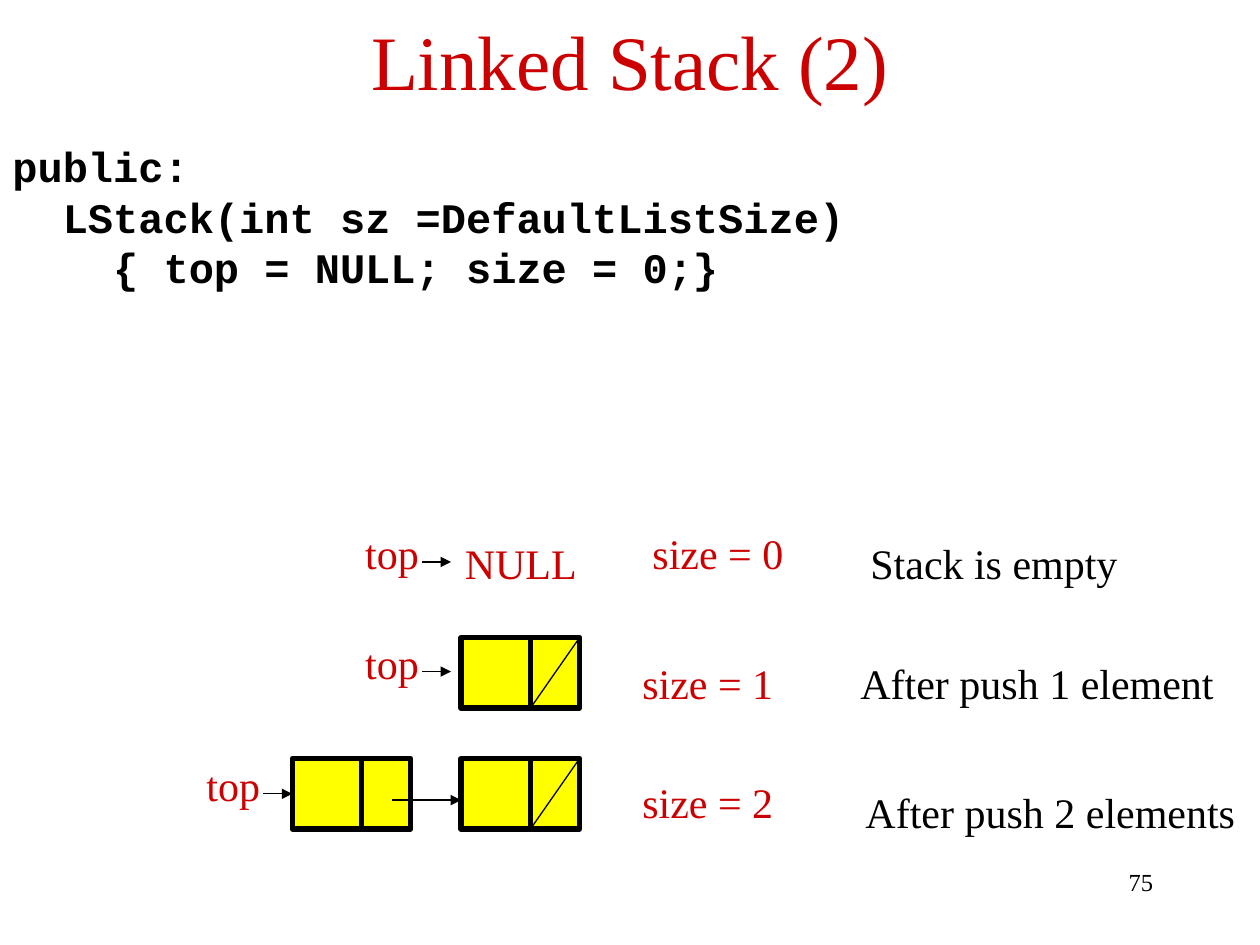
from pptx import Presentation, util as u
from pptx.dml.color import RGBColor
from pptx.enum import shapes, text
from pptx.oxml.ns import qn
from lxml import etree

SERIF, MONO = "Times New Roman", "Courier New"
RED, BLACK, YELLOW = "CC0000", "000000", "FFFF00"

TITLE = "Linked Stack (2)"
PAGE_NUMBER = "75"
# (columns of indent, code)
CODE = [
    (0, "public:"),
    (2, "LStack(int sz =DefaultListSize)"),
    (4, "{ top = NULL; size = 0;}"),
]
COLUMN = 0.2  # width of one 24 pt code character
# (text, left, top, width, colour)
LABELS = [
    ("NULL", 3.59, 4.22, 1.09, RED),
    ("size = 0", 5.08, 4.14, 1.24, RED),
    ("size = 1", 5, 5.17, 1.24, RED),
    ("size = 2", 5, 6.11, 1.24, RED),
    ("Stack is empty", 6.81, 4.22, 2.16, BLACK),
    ("After push 1 element", 6.73, 5.17, 3.27, BLACK),
    ("After push 2 elements", 6.77, 6.19, 3.35, BLACK),
]
# (left, top, is the last node of its list)
NODES = [(3.66, 5.06, True), (2.32, 6.02, False), (3.66, 6.02, True)]
NODE_WIDTH, NODE_HEIGHT, LINK_OFFSET = 0.94, 0.56, 0.55
# (left, top, index of the node the pointer touches)
TOP_POINTERS = [(2.8, 4.14, None), (2.8, 5.01, None), (1.54, 5.98, 1)]
NEXT_POINTER = (3.11, 6.35, 3.66, 6.35)

prs = Presentation()
prs.slide_width, prs.slide_height = u.Inches(10), u.Inches(7.5)
slide = prs.slides.add_slide(prs.slide_layouts[5])


def inches(*lengths):
    return [u.Inches(length) for length in lengths]


def rgb(colour):
    return RGBColor.from_string(colour)


def style(paragraph, size, colour, name=SERIF, bold=False):
    font = paragraph.font
    font.size, font.name, font.bold = u.Pt(size), name, bold
    font.color.rgb = rgb(colour)


def add_text(content, left, top, width, colour, size=24):
    frame = slide.shapes.add_textbox(*inches(left, top, width, 0.5)).text_frame
    frame.word_wrap = True
    frame.text = content
    style(frame.paragraphs[0], size, colour)
    return frame


def add_line(x1, y1, x2, y2, weight=0.75, arrow=False):
    line = slide.shapes.add_connector(
        shapes.MSO_CONNECTOR.STRAIGHT, *inches(x1, y1, x2, y2))
    line.line.color.rgb = rgb(BLACK)
    line.line.width = u.Pt(weight)
    if arrow:
        etree.SubElement(line.line._get_or_add_ln(), qn("a:tailEnd"), type="triangle")
    etree.SubElement(line._element.spPr, qn("a:effectLst"))
    return line


def add_node(left, top, is_last):
    """Draw a list node: element cell, link cell, and a slash for a null link."""
    node = slide.shapes.add_shape(
        shapes.MSO_SHAPE.RECTANGLE, *inches(left, top, NODE_WIDTH, NODE_HEIGHT))
    node.shadow.inherit = False
    node.fill.solid()
    node.fill.fore_color.rgb = rgb(YELLOW)
    node.line.color.rgb = rgb(BLACK)
    node.line.width = u.Pt(3)
    divider, bottom = left + LINK_OFFSET, top + NODE_HEIGHT
    add_line(divider, top, divider, bottom, weight=3)
    if is_last:
        add_line(left + NODE_WIDTH, top, divider, bottom)
    return node


title = slide.shapes.title
title.left, title.top, title.width, title.height = inches(0.5, -0.03, 9, 1)
title.text_frame.text = TITLE
title.text_frame.vertical_anchor = text.MSO_ANCHOR.MIDDLE
title.text_frame.auto_size = text.MSO_AUTO_SIZE.NONE
title.text_frame.paragraphs[0].alignment = text.PP_ALIGN.CENTER
style(title.text_frame.paragraphs[0], 44, RED)

code = slide.shapes.add_textbox(*inches(0, 1.07, 10, 1.3)).text_frame
code.word_wrap = True
for row, (columns, statement) in enumerate(CODE):
    paragraph = code.add_paragraph() if row else code.paragraphs[0]
    paragraph.text = statement
    paragraph._p.get_or_add_pPr().set("marL", str(u.Inches(columns * COLUMN)))
    style(paragraph, 24, BLACK, MONO, bold=True)

for label in LABELS:
    add_text(*label)

nodes = [add_node(*node) for node in NODES]

for left, top, target in TOP_POINTERS:
    pointer_label = add_text("top", left, top, 0.62, RED)
    pointer_label.margin_right = 0  # leaves the word room on one line
    y = top + 0.32
    pointer = add_line(left + 0.55, y, left + 0.78, y, arrow=True)
    if target is not None:
        pointer.end_connect(nodes[target], 1)
add_line(*NEXT_POINTER, arrow=True)

page = add_text(PAGE_NUMBER, 7.17, 6.83, 2.08, BLACK, size=14)
page.paragraphs[0].alignment = text.PP_ALIGN.RIGHT

prs.save("out.pptx")
